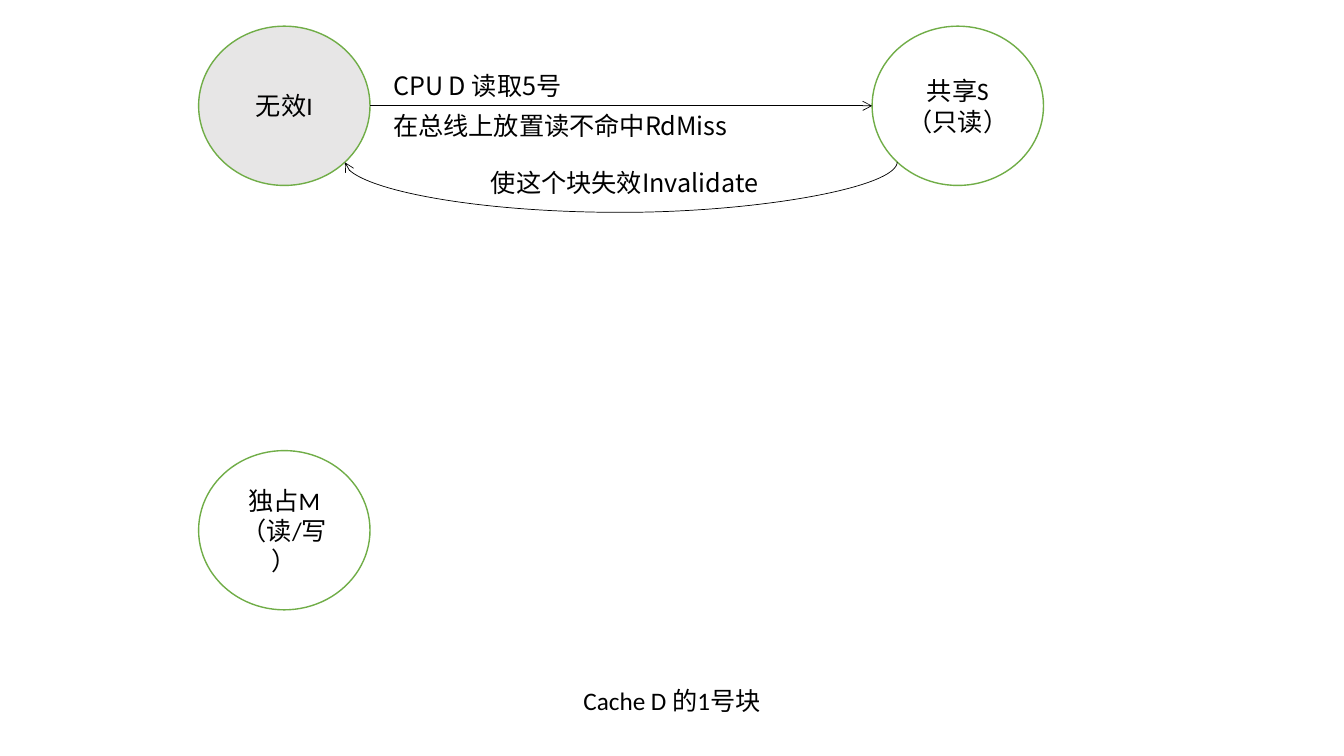
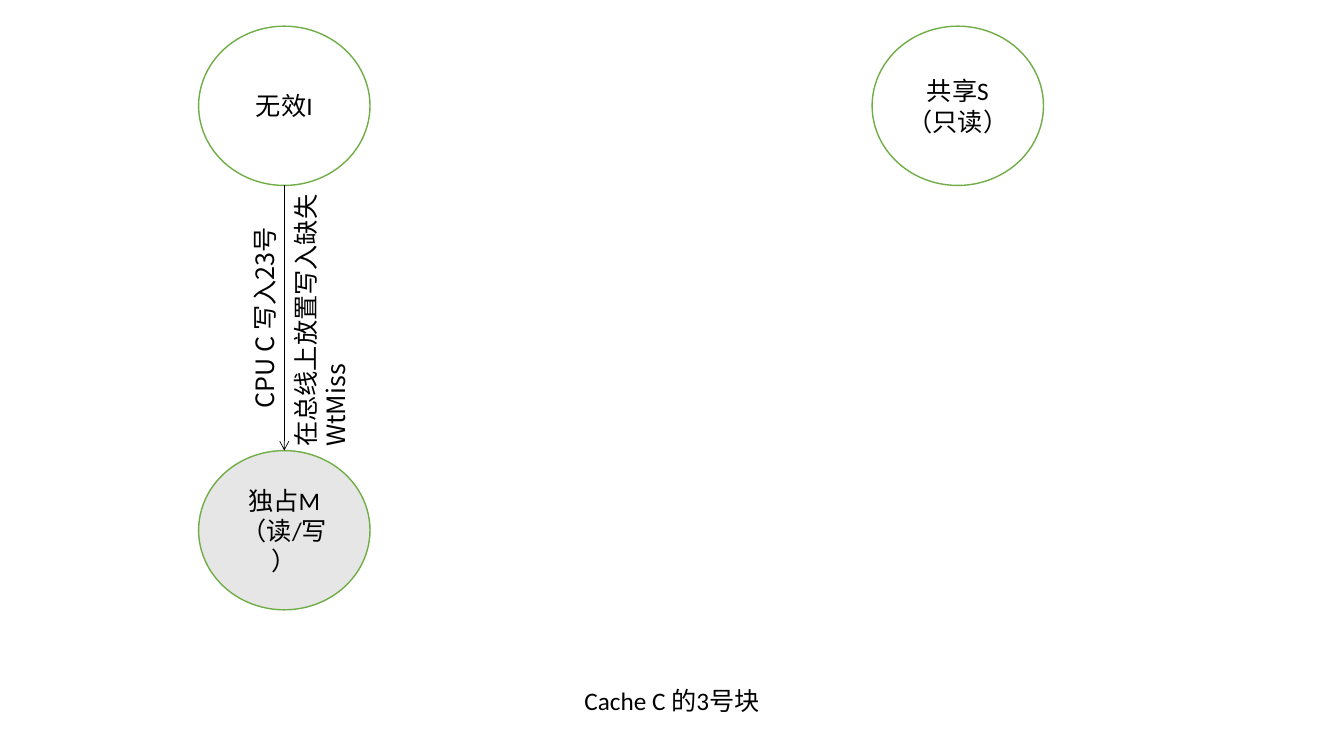
from dataclasses import dataclass

from lxml import etree
from pptx import Presentation
from pptx.dml.color import RGBColor
from pptx.enum.shapes import MSO_CONNECTOR, MSO_SHAPE
from pptx.enum.text import MSO_ANCHOR, MSO_AUTO_SIZE, PP_ALIGN
from pptx.oxml.ns import qn
from pptx.util import Inches, Pt

STRAIGHT, CURVE = MSO_CONNECTOR.STRAIGHT, MSO_CONNECTOR.CURVE
OVAL = MSO_SHAPE.OVAL
CENTER, LEFT = PP_ALIGN.CENTER, PP_ALIGN.LEFT
MIDDLE, TOP = MSO_ANCHOR.MIDDLE, MSO_ANCHOR.TOP
GROW = MSO_AUTO_SIZE.SHAPE_TO_FIT_TEXT

BLANK_LAYOUT = 6
PAGE_WIDTH, PAGE_HEIGHT = 13.33, 7.5
STATE_WIDTH, STATE_HEIGHT = 1.7, 1.58
COLUMNS = (1.97, 8.65)
ROWS = (0.26, 4.47)
LINE_HEIGHT = 0.4
DIAGONAL = 0.5 ** 0.5

STATE_FONT, LABEL_FONT = "Calibri", "Noto Sans CJK SC"
FONT_SIZE = 18
BLACK, WHITE, ACTIVE, GREEN = "000000", "FFFFFF", "E7E6E6", "70AD47"

STATES = {
    "invalid": (0, 0, ["无效I"]),
    "exclusive": (0, 1, ["独占M", "（读/写）"]),
    "shared": (1, 0, ["共享S", "（只读）"]),
}
SITES = {
    "lower left": (3, -DIAGONAL, DIAGONAL),
    "left": (2, -1, 0),
    "top": (0, 0, -1),
    "bottom": (4, 0, 1),
    "lower right": (5, DIAGONAL, DIAGONAL),
    "right": (6, 1, 0),
}


@dataclass
class Joint:
    shape_id: int
    site: int
    x: int
    y: int


def color(value):
    return RGBColor.from_string(value)


def write(shape, lines, font, align, anchor):
    frame = shape.text_frame
    frame.word_wrap = True
    frame.vertical_anchor = anchor
    for index, line in enumerate(lines):
        para = frame.paragraphs[0] if index == 0 else frame.add_paragraph()
        para.alignment = align
        span = para.add_run()
        span.text = line
        span.font.size = Pt(FONT_SIZE)
        span.font.name = font
        span.font.color.rgb = color(BLACK)
        east_asian = etree.SubElement(span.font._element, qn("a:ea"))
        east_asian.set("typeface", LABEL_FONT)


def add_label(page, left, top, width, lines, height=LINE_HEIGHT,
              font=LABEL_FONT, align=LEFT, rotation=0):
    box = page.shapes.add_textbox(
        Inches(left), Inches(top), Inches(width), Inches(height))
    write(box, lines, font, align, TOP)
    box.text_frame.auto_size = GROW
    box.rotation = rotation


def add_state(page, column, row, lines, fill):
    state = page.shapes.add_shape(
        OVAL, Inches(COLUMNS[column]), Inches(ROWS[row]),
        Inches(STATE_WIDTH), Inches(STATE_HEIGHT))
    state.shadow.inherit = False
    state.fill.solid()
    state.fill.fore_color.rgb = color(fill)
    state.line.color.rgb = color(GREEN)
    state.line.width = Pt(1)
    write(state, lines, STATE_FONT, CENTER, MIDDLE)
    return state


def joint(state, side):
    site, across, down = SITES[side]
    x = state.left + state.width * (1 + across) / 2
    y = state.top + state.height * (1 + down) / 2
    return Joint(state.shape_id, site, round(x), round(y))


def finish_arrow(arrow, start, end):
    arrow.line.color.rgb = color(BLACK)
    arrow.line.width = Pt(0.5)
    etree.SubElement(arrow.line._get_or_add_ln(), qn("a:tailEnd")).set("type", "arrow")
    etree.SubElement(arrow._element.spPr, qn("a:effectLst"))
    links = arrow._element.find(".//" + qn("p:cNvCxnSpPr"))
    for tag, point in (("a:stCxn", start), ("a:endCxn", end)):
        link = etree.SubElement(links, qn(tag))
        link.set("id", str(point.shape_id))
        link.set("idx", str(point.site))


def add_arrow(page, start, end):
    arrow = page.shapes.add_connector(STRAIGHT, start.x, start.y, end.x, end.y)
    finish_arrow(arrow, start, end)


def add_return_arrow(page, start, end, depth):
    thickness = Pt(0.25)
    middle = (start.x + end.x) // 2
    half = (start.x - end.x) // 2
    arrow = page.shapes.add_connector(
        CURVE, middle - thickness // 2, start.y - half,
        middle - thickness // 2 + thickness, start.y + half)
    arrow._element.spPr.find(qn("a:xfrm")).set("rot", str(90 * 60000))
    geometry = arrow._element.spPr.find(qn("a:prstGeom"))
    guides = geometry.find(qn("a:avLst"))
    if guides is None:
        guides = etree.SubElement(geometry, qn("a:avLst"))
    guide = etree.SubElement(guides, qn("a:gd"))
    guide.set("name", "adj1")
    guide.set("fmla", f"val {round(Inches(depth) / thickness * 100000)}")
    finish_arrow(arrow, start, end)


def add_state_page(deck, active, caption):
    page = deck.slides.add_slide(deck.slide_layouts[BLANK_LAYOUT])
    states = {
        name: add_state(page, column, row, lines, ACTIVE if name == active else WHITE)
        for name, (column, row, lines) in STATES.items()
    }
    width = 1.99
    add_label(page, (PAGE_WIDTH - width) / 2, PAGE_HEIGHT * 0.9, width, [caption],
              font=STATE_FONT, align=CENTER)
    return page, states


def add_read_page(deck):
    page, states = add_state_page(deck, "invalid", "Cache D 的1号块")
    invalid, shared = states["invalid"], states["shared"]
    axis = ROWS[0] + STATE_HEIGHT / 2
    add_arrow(page, joint(invalid, "right"), joint(shared, "left"))
    add_label(page, 3.8, axis - LINE_HEIGHT, 4.3, ["CPU D 读取5号"])
    add_label(page, 3.8, axis, 4.44, ["在总线上放置读不命中RdMiss"])
    add_return_arrow(page, joint(shared, "lower left"),
                     joint(invalid, "lower right"), 0.49)
    add_label(page, 4.77, 1.61, 3.23, ["使这个块失效Invalidate"])


def add_write_page(deck):
    page, states = add_state_page(deck, "exclusive", "Cache C 的3号块")
    add_arrow(page, joint(states["invalid"], "bottom"),
              joint(states["exclusive"], "top"))
    add_label(page, 1.43, 2.76, 2.38, ["CPU C 写入23号"], rotation=270)
    add_label(page, 1.55, 2.54, 3.27, ["在总线上放置写入缺失", "WtMiss"],
              height=0.71, rotation=270)


def main():
    deck = Presentation()
    deck.slide_width = Inches(PAGE_WIDTH)
    deck.slide_height = Inches(PAGE_HEIGHT)
    add_read_page(deck)
    add_write_page(deck)
    deck.save("out.pptx")


if __name__ == "__main__":
    main()
